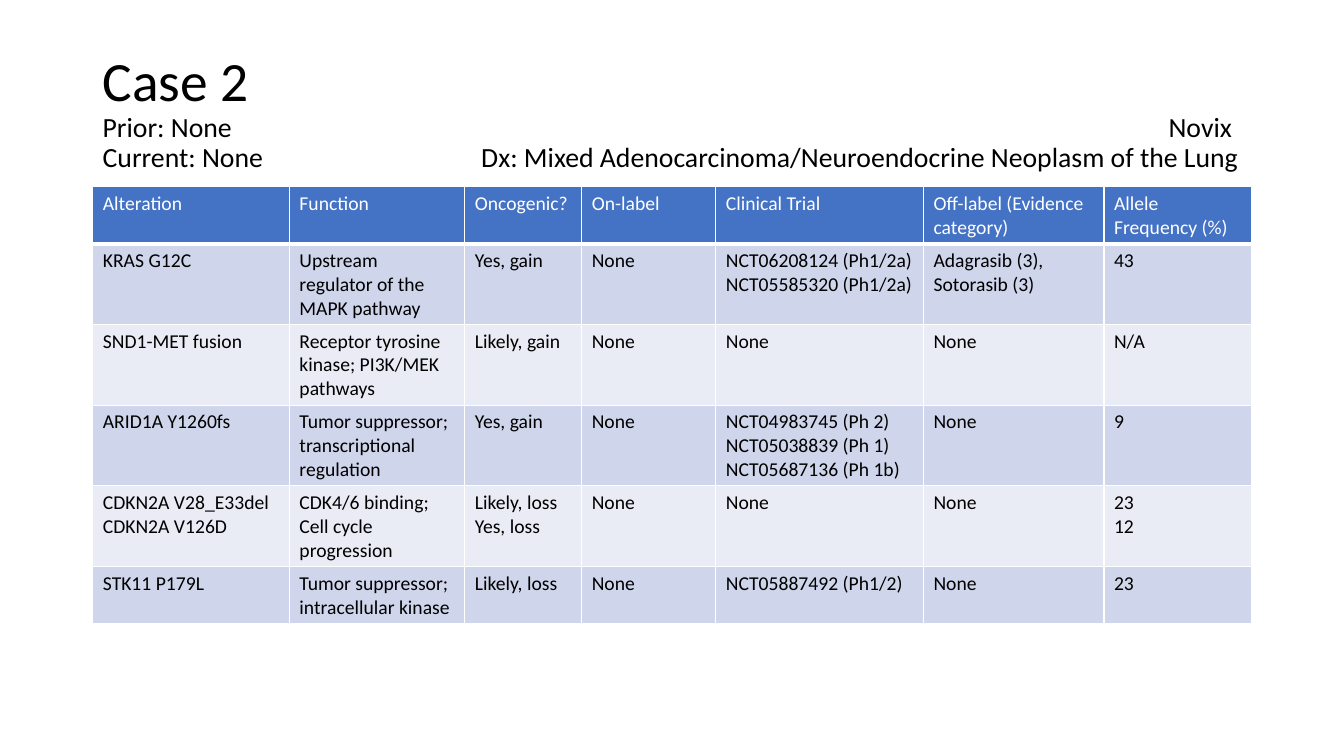
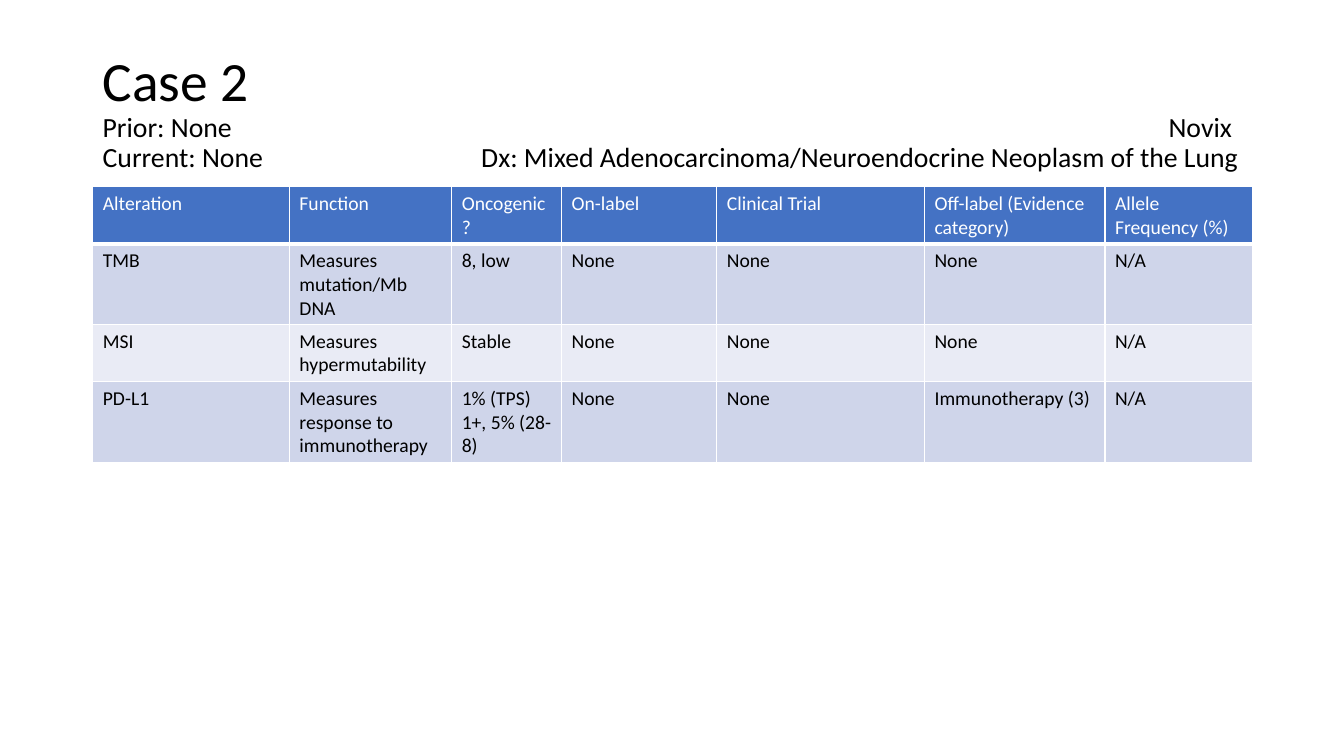
"""Build two slides tabulating the molecular findings of one lung cancer case."""
from lxml.etree import SubElement
from pptx import Presentation
from pptx.dml.color import RGBColor
from pptx.enum.text import MSO_ANCHOR
from pptx.oxml.ns import qn
from pptx.util import Inches, Pt

BLACK = RGBColor(0x00, 0x00, 0x00)
WHITE = RGBColor(0xFF, 0xFF, 0xFF)
HEADER_BLUE = RGBColor(0x44, 0x72, 0xC4)
BANDS = [RGBColor(0xCF, 0xD5, 0xEA), RGBColor(0xE9, 0xEB, 0xF5)]
FONT = "Calibri"
LEFT, WIDTH = Inches(0.92), Inches(11.5)
HEADER_HEIGHT, ROW_HEIGHT = Inches(0.32), Inches(0.43)

TITLE_LINES = [
    ("Case 2", 39.6, None),
    ("Prior: None\tNovix", 19.8, Inches(11.2)),
    ("Current: None\tDx: Mixed Adenocarcinoma/Neuroendocrine Neoplasm of the Lung",
     19.8, Inches(11.26)),
]
HEADERS = ["Alteration", "Function", "Oncogenic?", "On-label", "Clinical Trial",
           "Off-label (Evidence category)", "Allele Frequency (%)"]
TABLES = [
    ([1.95, 1.74, 1.16, 1.33, 2.06, 1.79, 1.46], [
        ["KRAS G12C", "Upstream regulator of the MAPK pathway", "Yes, gain", "None",
         "NCT06208124 (Ph1/2a)\nNCT05585320 (Ph1/2a)", "Adagrasib (3), Sotorasib (3)", "43"],
        ["SND1-MET fusion", "Receptor tyrosine kinase; PI3K/MEK pathways", "Likely, gain",
         "None", "None", "None", "N/A"],
        ["ARID1A Y1260fs", "Tumor suppressor; transcriptional regulation", "Yes, gain", "None",
         "NCT04983745 (Ph 2)\nNCT05038839 (Ph 1)\nNCT05687136 (Ph 1b)", "None", "9"],
        ["CDKN2A V28_E33del\nCDKN2A V126D", "CDK4/6 binding; Cell cycle progression",
         "Likely, loss\nYes, loss", "None", "None", "None", "23\n12"],
        ["STK11 P179L", "Tumor suppressor; intracellular kinase", "Likely, loss", "None",
         "NCT05887492 (Ph1/2)", "None", "23"],
    ]),
    ([1.95, 1.61, 1.09, 1.54, 2.06, 1.79, 1.46], [
        ["TMB", "Measures mutation/Mb DNA", "8, low", "None", "None", "None", "N/A"],
        ["MSI", "Measures hypermutability", "Stable", "None", "None", "None", "N/A"],
        ["PD-L1", "Measures response to immunotherapy", "1% (TPS)\n1+, 5% (28-8)", "None",
         "None", "Immunotherapy (3)", "N/A"],
    ]),
]


def style_font(paragraph, size, color):
    paragraph.font.name = FONT
    paragraph.font.size = Pt(size)
    paragraph.font.bold = False
    paragraph.font.color.rgb = color


def add_border(cell, side, points):
    line = SubElement(cell._tc.get_or_add_tcPr(), qn(f"a:ln{side}"), w=str(Pt(points)))
    fill = SubElement(line, qn("a:solidFill"))
    SubElement(fill, qn("a:srgbClr"), val=str(WHITE))


presentation = Presentation()
presentation.slide_width = Inches(13.33)
presentation.slide_height = Inches(7.5)

for column_widths, findings in TABLES:
    slide = presentation.slides.add_slide(presentation.slide_layouts[6])

    title_frame = slide.shapes.add_textbox(LEFT, Inches(0.4), WIDTH, Inches(1.45)).text_frame
    title_frame.word_wrap = True
    title_frame.vertical_anchor = MSO_ANCHOR.MIDDLE
    title_frame.text = "\n".join(text for text, size, tab in TITLE_LINES)
    for paragraph, (text, size, tab) in zip(title_frame.paragraphs, TITLE_LINES):
        paragraph.line_spacing = 0.9
        if tab:
            tab_list = SubElement(paragraph._p.get_or_add_pPr(), qn("a:tabLst"))
            SubElement(tab_list, qn("a:tab"), pos=str(tab), algn="r")
        style_font(paragraph, size, BLACK)

    rows = [HEADERS] + findings
    table = slide.shapes.add_table(len(rows), len(HEADERS), LEFT, Inches(1.85), WIDTH,
                                   HEADER_HEIGHT + ROW_HEIGHT * len(findings)).table
    for column, width in zip(table.columns, column_widths):
        column.width = Inches(width)
    for row_index, texts in enumerate(rows):
        is_header = row_index == 0
        table.rows[row_index].height = HEADER_HEIGHT if is_header else ROW_HEIGHT
        for cell, text in zip(table.rows[row_index].cells, texts):
            if is_header:
                for side, points in [("L", 1), ("R", 1), ("T", 1), ("B", 3)]:
                    add_border(cell, side, points)
            cell.fill.solid()
            cell.fill.fore_color.rgb = HEADER_BLUE if is_header else BANDS[(row_index - 1) % 2]
            cell.text = text
            for paragraph in cell.text_frame.paragraphs:
                style_font(paragraph, 14, WHITE if is_header else BLACK)

presentation.save("out.pptx")
